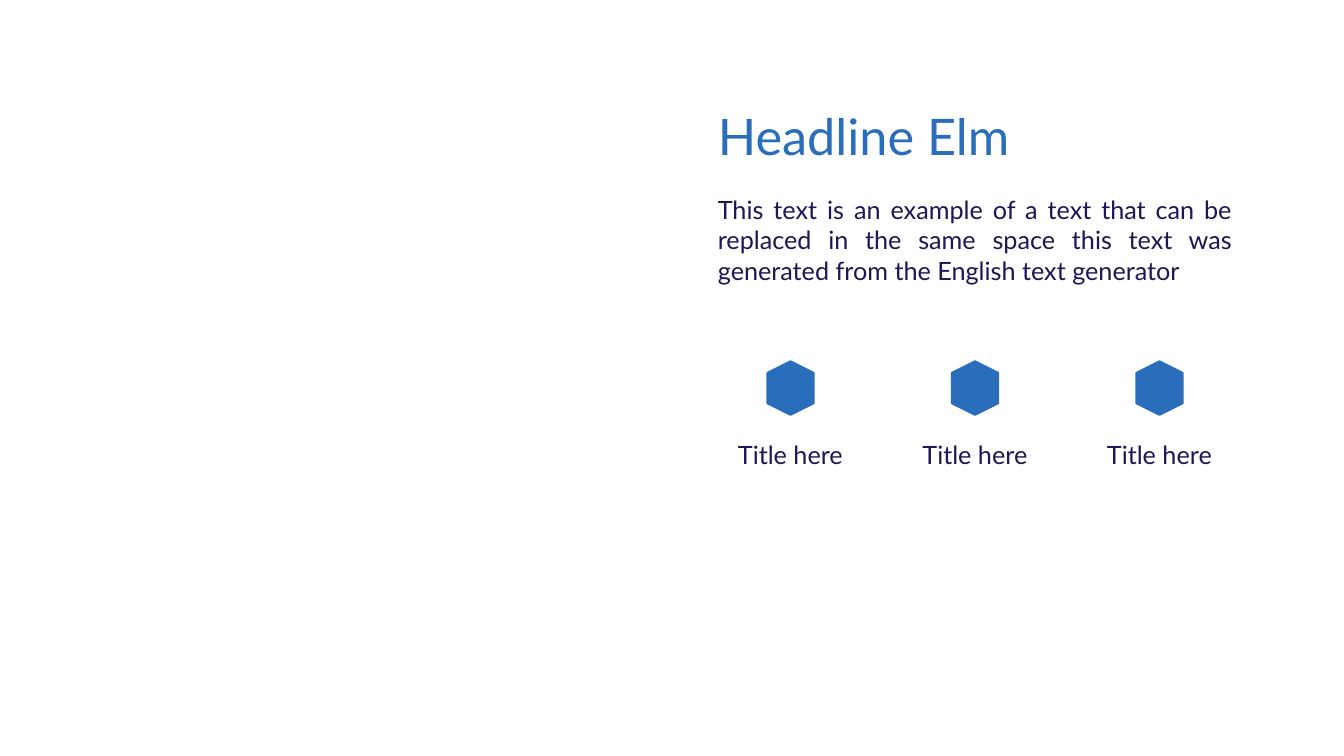
import pptx
import pptx.util
import pptx.dml.color
import pptx.enum.shapes
import pptx.enum.text
from pptx.util import Inches

# Content
HEADLINE = "Headline Elm"
BODY = ("This text is an example of a text that can be replaced in the same space "
        "this text was generated from the English text generator")
FEATURES = ["Title here", "Title here", "Title here"]

COLORS = {"blue": "2A6EBB", "navy": "1E1656"}
FONT = "Lato"
ALIGN = pptx.enum.text.PP_ALIGN

# Layout in inches
LEFT, BODY_WIDTH = 7.12, 5.1
FEATURE_WIDTH = 1.44
FEATURE_STEP = (BODY_WIDTH - FEATURE_WIDTH) / (len(FEATURES) - 1)
HEXAGON_TOP, HEXAGON_WIDTH, HEXAGON_HEIGHT = 3.62, 0.53, 0.46
LABEL_TOP = 4.36


def color(name):
    return pptx.dml.color.RGBColor.from_string(COLORS[name])


def add_text(page, text, left, top, width, height, size, color_name, align):
    box = page.shapes.add_textbox(Inches(left), Inches(top), Inches(width), Inches(height))
    frame = box.text_frame
    frame.margin_left = frame.margin_right = frame.margin_top = frame.margin_bottom = 0
    frame.word_wrap = True
    frame.auto_size = pptx.enum.text.MSO_AUTO_SIZE.SHAPE_TO_FIT_TEXT
    frame.text = text
    para = frame.paragraphs[0]
    para.alignment = align
    span = para.runs[0]
    span.font.name = FONT
    span.font.size = pptx.util.Pt(size)
    span.font.color.rgb = color(color_name)


def add_hexagon(page, center):
    hexagon = page.shapes.add_shape(
        pptx.enum.shapes.MSO_SHAPE.HEXAGON,
        Inches(center - HEXAGON_WIDTH / 2), Inches(HEXAGON_TOP),
        Inches(HEXAGON_WIDTH), Inches(HEXAGON_HEIGHT))
    hexagon.rotation = 90
    hexagon.shadow.inherit = False
    hexagon.fill.solid()
    hexagon.fill.fore_color.rgb = color("blue")
    hexagon.line.color.rgb = color("blue")
    hexagon.line.width = pptx.util.Pt(1.5)


def main():
    deck = pptx.Presentation()
    deck.slide_width, deck.slide_height = Inches(13.33), Inches(7.5)
    page = deck.slides.add_slide(deck.slide_layouts[6])

    # Headline and body text
    add_text(page, HEADLINE, LEFT, 1.04, 4.62, 0.61, 36, "blue", ALIGN.LEFT)
    add_text(page, BODY, LEFT, 1.93, BODY_WIDTH, 0.91, 18, "navy", ALIGN.JUSTIFY)

    # Row of hexagons with titles
    for index, title in enumerate(FEATURES):
        left = LEFT + index * FEATURE_STEP
        add_hexagon(page, left + FEATURE_WIDTH / 2)
        add_text(page, title, left, LABEL_TOP, FEATURE_WIDTH, 0.3, 18, "navy", ALIGN.CENTER)

    deck.save("out.pptx")


if __name__ == "__main__":
    main()
